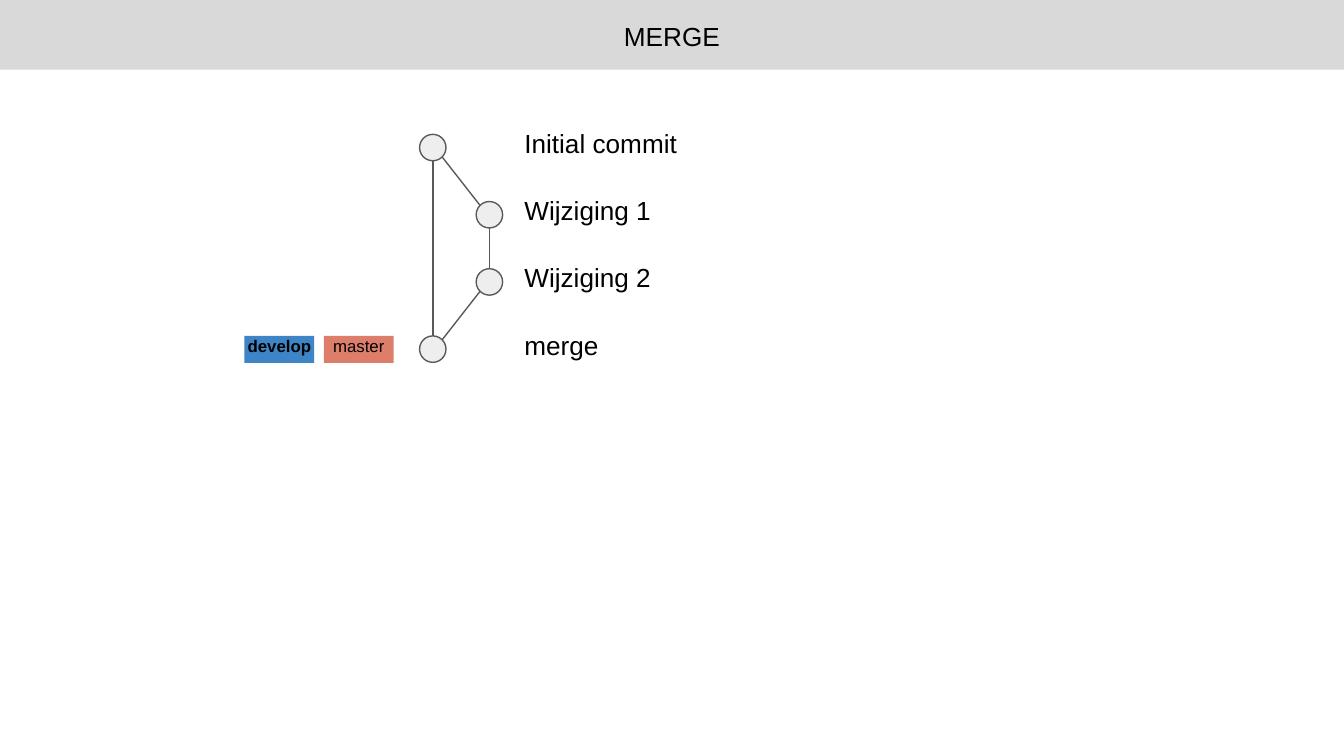
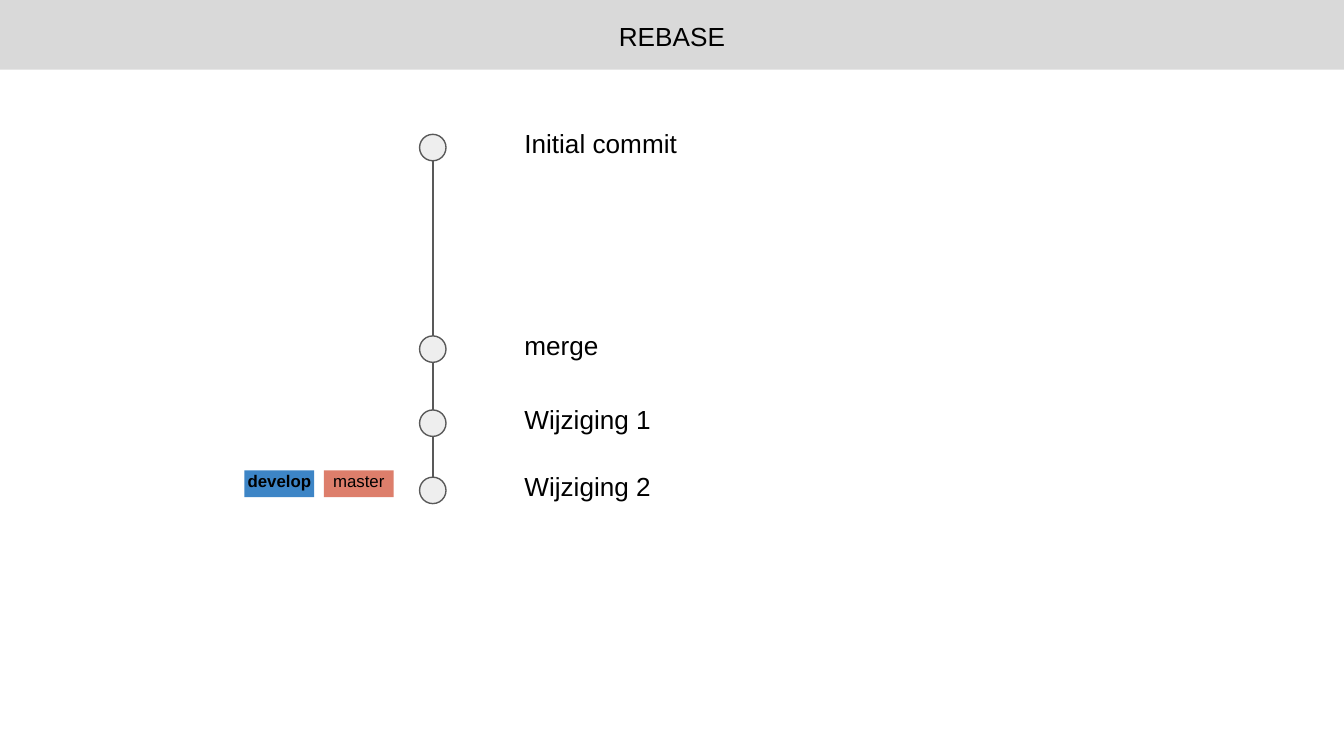
from dataclasses import dataclass
from math import sqrt

from lxml.etree import SubElement
from pptx import Presentation
from pptx.dml.color import RGBColor
from pptx.enum.shapes import MSO_CONNECTOR, MSO_SHAPE
from pptx.enum.text import MSO_ANCHOR, PP_ALIGN
from pptx.oxml.ns import qn
from pptx.shapes.autoshape import Shape
from pptx.slide import Slide
from pptx.util import Cm, Pt

# Shared style, lengths in cm
FONT = "Arial"
BLACK, BAND, NODE, STROKE = "000000", "D9D9D9", "EEEEEE", "595959"
MASTER, DEVELOP = "DD7E6B", "3D85C6"
WIDTH, HEIGHT, BAND_H = 25.4, 14.29, 1.32
RADIUS = 0.25
MAIN_X, BRANCH_X = 8.18, 9.25
TOP, STEP = 2.79, 1.27
LABEL_X, LABEL_W, LABEL_H, LABEL_RISE = 9.91, 3.05, 0.76, 0.38
TAG_X, TAG_STEP, TAG_W, TAG_H = 4.62, 1.5, 1.32, 0.51


@dataclass(frozen=True)
class Commit:
    label: str
    x: float
    y: float


@dataclass(frozen=True)
class Graph:
    title: str
    commits: list[Commit]
    edges: list[tuple[int, int]]
    tags_y: float


def rgb(value: str) -> RGBColor:
    return RGBColor.from_string(value)


def write(sp: Shape, text: str, size: float, align: PP_ALIGN, bold: bool = False,
          side: float = 0, top: float = 0) -> None:
    tf = sp.text_frame
    tf.word_wrap = True
    tf.vertical_anchor = MSO_ANCHOR.TOP
    tf.margin_left = tf.margin_right = tf.margin_bottom = Cm(side)
    tf.margin_top = Cm(top)
    tf.text = text
    p = tf.paragraphs[0]
    p.alignment = align
    font = p.runs[0].font
    font.name, font.size, font.bold = FONT, Pt(size), bold
    font.color.rgb = rgb(BLACK)


def add_box(s: Slide, kind: MSO_SHAPE, x: float, y: float, w: float, h: float,
            fill: str, line: str | None = None) -> Shape:
    sp = s.shapes.add_shape(kind, Cm(x), Cm(y), Cm(w), Cm(h))
    sp.shadow.inherit = False
    sp.fill.solid()
    sp.fill.fore_color.rgb = rgb(fill)
    if line:
        sp.line.color.rgb = rgb(line)
        sp.line.width = Pt(0.75)
    else:
        sp.line.fill.background()
    return sp


def add_edge(s: Slide, a: Commit, b: Commit) -> None:
    """Join two circles, straight down or from their 45 degree points."""
    side = (b.x > a.x) - (b.x < a.x)
    dy = RADIUS / sqrt(2) if side else RADIUS
    dx = side * dy
    line = s.shapes.add_connector(MSO_CONNECTOR.STRAIGHT, Cm(a.x + dx), Cm(a.y + dy),
                                  Cm(b.x - dx), Cm(b.y - dy))
    line.line.color.rgb = rgb(STROKE)
    line.line.width = Pt(0.75)
    SubElement(line._element.spPr, qn("a:effectLst"))


def add_commit(s: Slide, c: Commit) -> None:
    add_box(s, MSO_SHAPE.OVAL, c.x - RADIUS, c.y - RADIUS,
            2 * RADIUS, 2 * RADIUS, NODE, STROKE)
    label = s.shapes.add_textbox(Cm(LABEL_X), Cm(c.y - LABEL_RISE),
                                 Cm(LABEL_W), Cm(LABEL_H))
    write(label, c.label, 14, PP_ALIGN.LEFT)


def add_tags(s: Slide, y: float) -> None:
    tags = [("develop", DEVELOP, True), ("master", MASTER, False)]
    for i, (name, fill, bold) in enumerate(tags):
        sp = add_box(s, MSO_SHAPE.RECTANGLE, TAG_X + i * TAG_STEP, y, TAG_W, TAG_H, fill)
        write(sp, name, 9, PP_ALIGN.CENTER, bold)


def add_graph(prs: Presentation, graph: Graph) -> None:
    s = prs.slides.add_slide(prs.slide_layouts[6])
    for commit in graph.commits:
        add_commit(s, commit)
    for start, end in graph.edges:
        add_edge(s, graph.commits[start], graph.commits[end])
    add_tags(s, graph.tags_y)
    band = add_box(s, MSO_SHAPE.RECTANGLE, 0, 0, WIDTH, BAND_H, BAND)
    write(band, graph.title, 14, PP_ALIGN.CENTER, side=0.25, top=0.38)


# Commit histories
MERGE_Y = TOP + 3 * STEP
REBASED_Y = 8.0
INITIAL = Commit("Initial commit", MAIN_X, TOP)
MERGED = Commit("merge", MAIN_X, MERGE_Y)
GRAPHS = [
    Graph("MERGE",
          [INITIAL,
           Commit("Wijziging 1", BRANCH_X, TOP + STEP),
           Commit("Wijziging 2", BRANCH_X, TOP + 2 * STEP),
           MERGED],
          [(0, 1), (1, 2), (2, 3), (0, 3)], tags_y=6.35),
    Graph("REBASE",
          [INITIAL,
           MERGED,
           Commit("Wijziging 1", MAIN_X, REBASED_Y),
           Commit("Wijziging 2", MAIN_X, REBASED_Y + STEP)],
          [(0, 1), (1, 2), (2, 3)], tags_y=8.89),
]

# Slides
prs = Presentation()
prs.slide_width, prs.slide_height = Cm(WIDTH), Cm(HEIGHT)
for graph in GRAPHS:
    add_graph(prs, graph)
prs.save("out.pptx")
